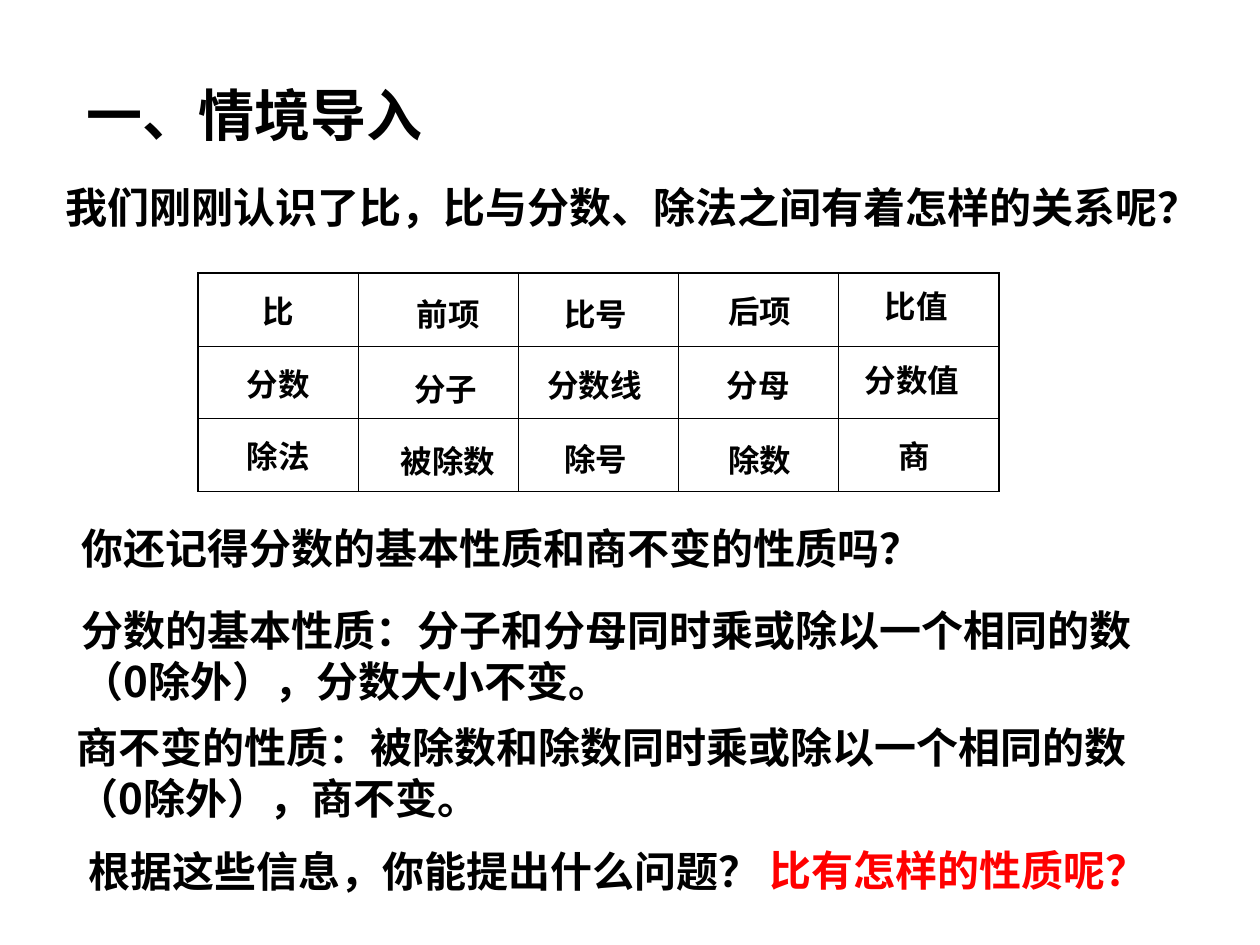
import lxml.etree
import pptx
import pptx.dml.color
import pptx.enum.text
import pptx.oxml.ns
import pptx.util

Cm = pptx.util.Cm
Pt = pptx.util.Pt
LEFT = pptx.enum.text.PP_ALIGN.LEFT
CENTER = pptx.enum.text.PP_ALIGN.CENTER
CHINESE_FONT = "Noto Sans CJK SC"
BLACK = "000000"
RED = "FF0000"
THIN, THICK = 0.45, 1.08

HEADINGS = ["比", "分数", "除法"]
COLUMN_COUNT = 5
TERMS = [
    ("前项", 9.04, 5.82), ("比号", 12.01, 5.82), ("后项", 15.32, 5.77), ("比值", 18.47, 5.66),
    ("分子", 8.99, 7.34), ("分数线", 11.98, 7.26), ("分母", 15.29, 7.26), ("分数值", 18.38, 7.16),
    ("被除数", 9.03, 8.79), ("除号", 12.01, 8.74), ("除数", 15.32, 8.76), ("商", 18.43, 8.69),
]
STATEMENTS = [
    ("一、情境导入", (1.5, 1.5, 7.49, 1.6), {"size": 32}),
    ("我们刚刚认识了比，比与分数、除法之间有着怎样的关系呢？", (1.07, 3.53, 23.37, 1.27),
     {"name": CHINESE_FONT, "align": CENTER, "wrap": False}),
    ("你还记得分数的基本性质和商不变的性质吗？", (1.4, 10.41, 19.3, 1.27), {"name": CHINESE_FONT}),
    ("分数的基本性质：分子和分母同时乘或除以一个相同的数（0除外），分数大小不变。",
     (1.4, 12.07, 22.1, 2.29), {"name": CHINESE_FONT}),
    ("商不变的性质：被除数和除数同时乘或除以一个相同的数（0除外），商不变。",
     (1.3, 14.43, 22.1, 2.29), {"name": CHINESE_FONT}),
    ("根据这些信息，你能提出什么问题？", (0.76, 16.92, 15.6, 1.27), {"align": CENTER}),
    ("比有怎样的性质呢？", (15.27, 16.89, 9.19, 1.27), {"color": RED}),
]


def rgb(color):
    return pptx.dml.color.RGBColor.from_string(color)


def add_child(parent, tag, **attributes):
    return lxml.etree.SubElement(parent, pptx.oxml.ns.qn(tag), attributes)


def write_text(frame, text, size=24, name="Arial", color=BLACK, align=LEFT):
    para = frame.paragraphs[0]
    para.alignment = align
    span = para.add_run()
    span.text = text
    font_format = {"size": Pt(size), "name": name, "bold": True}
    for attribute, value in font_format.items():
        setattr(span.font, attribute, value)
    span.font.color.rgb = rgb(color)
    add_child(span.font._element, "a:ea", typeface=CHINESE_FONT)


def add_text(page, text, place, wrap=True, **text_format):
    box = page.shapes.add_textbox(*map(Cm, place))
    box.text_frame.word_wrap = wrap
    write_text(box.text_frame, text, **text_format)


def add_term(page, text, center, top):
    width = 0.51 + 0.635 * len(text)
    place = (center - width / 2, top, width, 1.02)
    add_text(page, text, place, wrap=False, size=18, align=CENTER)


def set_borders(cell, widths):
    properties = cell._tc.get_or_add_tcPr()
    for position, (side, width) in enumerate(widths.items()):
        line = lxml.etree.Element(pptx.oxml.ns.qn(f"a:ln{side}"), w=str(int(Pt(width))))
        fill = add_child(line, "a:solidFill")
        add_child(fill, "a:srgbClr", val=BLACK)
        properties.insert(position, line)


def add_relation_table(page):
    row_count = len(HEADINGS)
    place = map(Cm, (3.99, 5.51, 16.15, 4.4))
    table = page.shapes.add_table(row_count, COLUMN_COUNT, *place).table
    table.first_row = False
    table.horz_banding = False
    for row, heading in enumerate(HEADINGS):
        for column in range(COLUMN_COUNT):
            cell = table.cell(row, column)
            cell.fill.background()
            cell.vertical_anchor = pptx.enum.text.MSO_ANCHOR.MIDDLE
            outer = {
                "L": column == 0,
                "R": column == COLUMN_COUNT - 1,
                "T": row == 0,
                "B": row == row_count - 1,
            }
            set_borders(cell, {side: THICK if edge else THIN for side, edge in outer.items()})
        write_text(table.cell(row, 0).text_frame, heading, size=18, name="Calibri", align=CENTER)


def main():
    deck = pptx.Presentation()
    deck.slide_width = Cm(25.4)
    deck.slide_height = Cm(19.05)
    page = deck.slides.add_slide(deck.slide_layouts[6])
    add_relation_table(page)
    for text, center, top in TERMS:
        add_term(page, text, center, top)
    for text, place, text_format in STATEMENTS:
        add_text(page, text, place, **text_format)
    deck.save("out.pptx")


if __name__ == "__main__":
    main()
